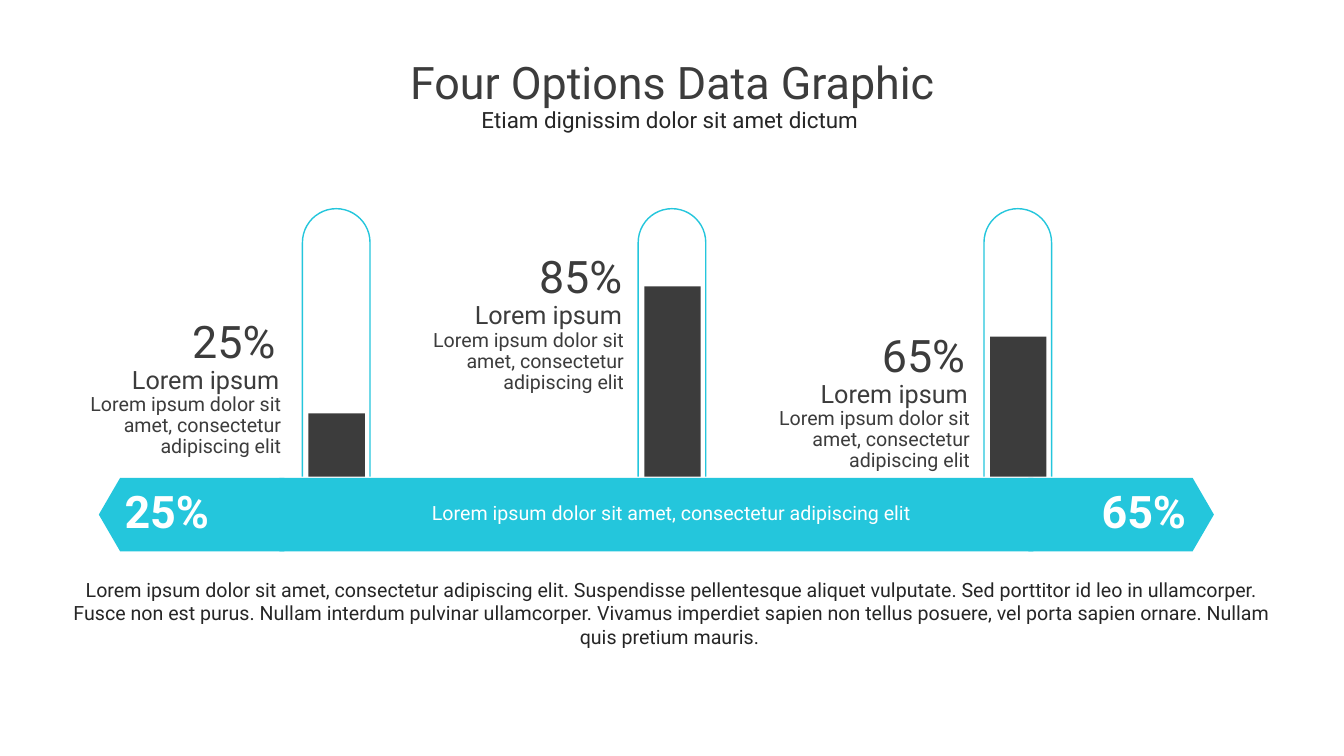
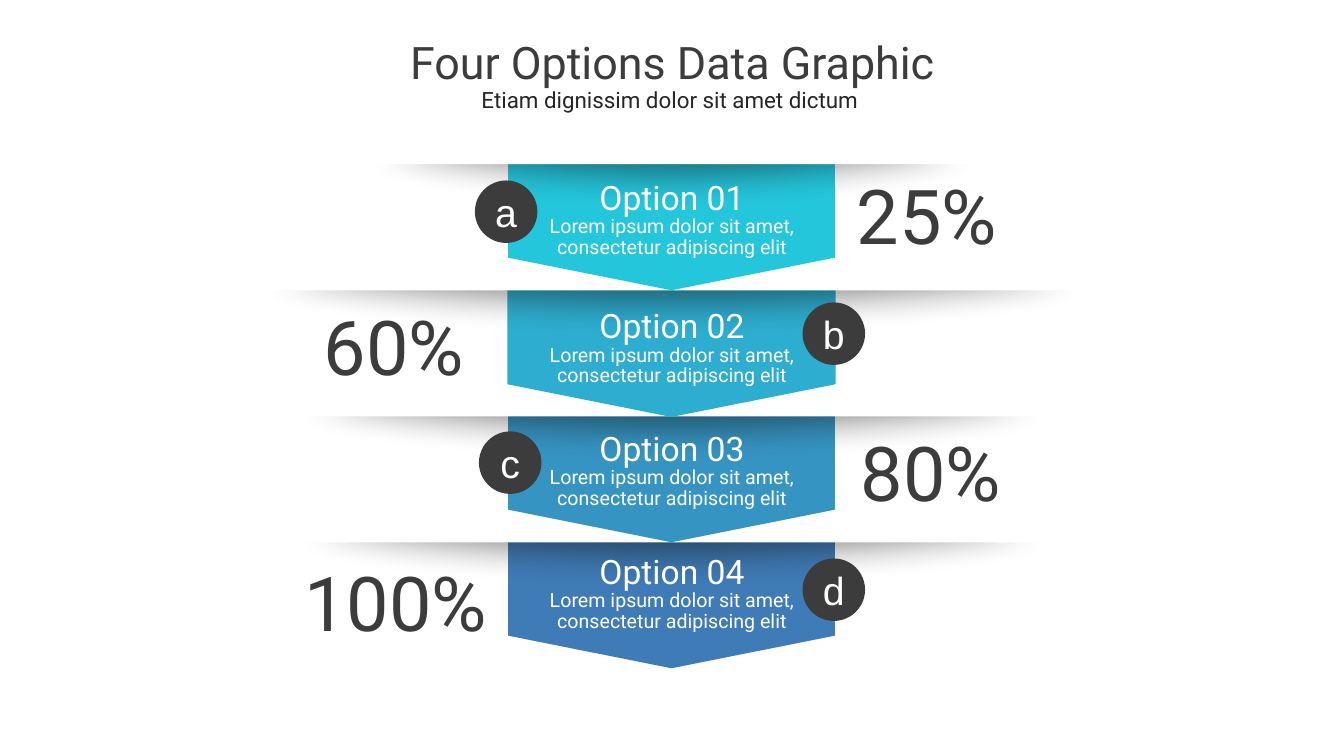
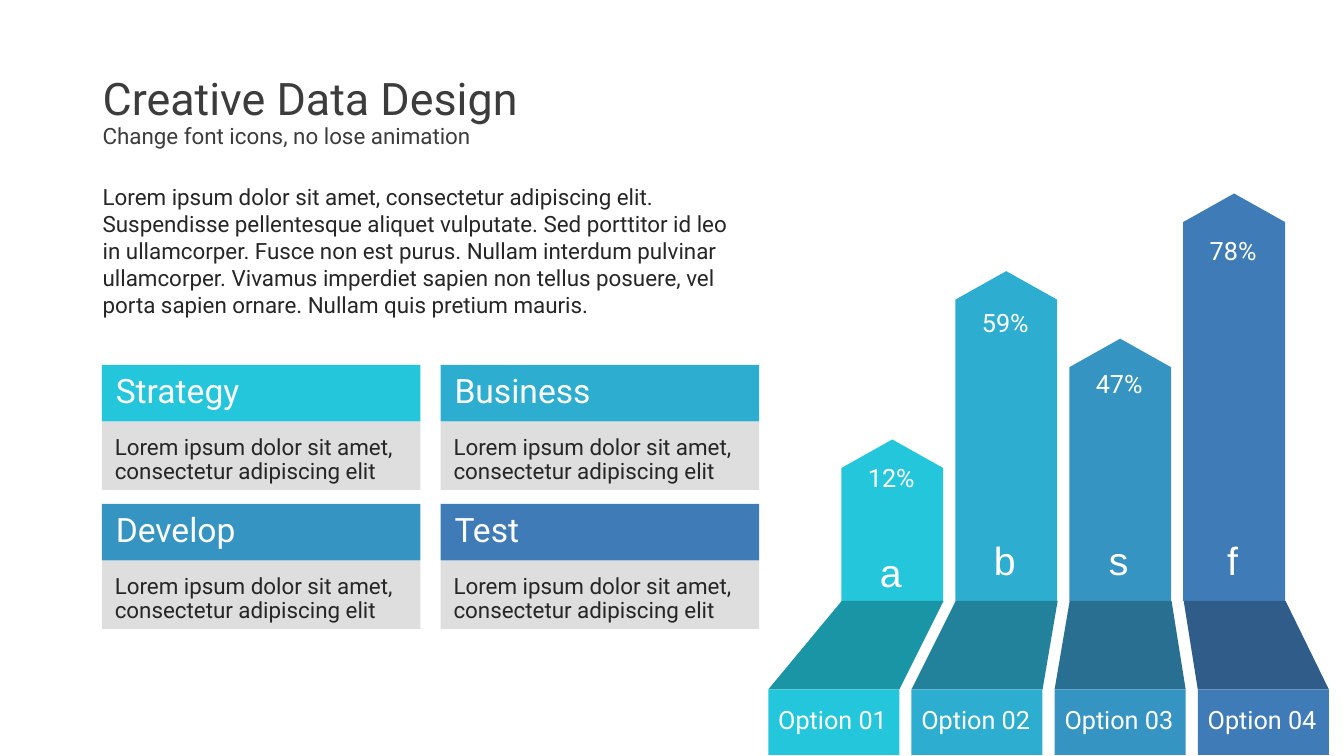
import dataclasses
import pptx
import pptx.dml.color
import pptx.enum.shapes
import pptx.enum.text
import pptx.oxml.ns
import pptx.util
from lxml import etree

Inches = pptx.util.Inches
KIND = pptx.enum.shapes.MSO_SHAPE
ALIGN = pptx.enum.text.PP_ALIGN
ANCHOR = pptx.enum.text.MSO_ANCHOR
qn = pptx.oxml.ns.qn

BRIEF = "Lorem ipsum dolor sit amet, consectetur adipiscing elit"
LONG = (
    BRIEF + ". Suspendisse pellentesque aliquet vulputate. Sed porttitor id leo "
    "in ullamcorper. Fusce non est purus. Nullam interdum pulvinar ullamcorper. "
    "Vivamus imperdiet sapien non tellus posuere, vel porta sapien ornare. "
    "Nullam quis pretium mauris."
)


@dataclasses.dataclass(frozen=True)
class Theme:
    # Colours
    hues: tuple = ("24C6DC", "2DADCF", "3694C2", "3F7BB6")
    darks: tuple = ("1A95A6", "22829B", "286F92", "2F5C88")
    gray: str = "3C3C3C"
    ink: str = "262626"
    white: str = "FFFFFF"
    pale: str = "FBFBFB"
    shade: str = "111111"
    black: str = "000000"
    # Fonts and type sizes
    font: str = "Roboto"
    icon: str = "Arial"
    small: int = 14
    text: int = 16
    label: int = 18
    head: int = 24
    sign: int = 28
    title: int = 32
    huge: int = 54
    # Line spacing and text insets
    tight: float = 0.89
    snug: float = 0.9
    inset: tuple = (0.1, 0.05, 0.1, 0.05)
    wide: tuple = (0.27, 0.05, 0.27, 0.07)


class Deck:
    def __init__(self, theme):
        self.theme = theme
        self.show = pptx.Presentation()
        self.show.slide_width = Inches(13.33)
        self.show.slide_height = Inches(7.5)
        self.slide = None

    def page(self):
        self.slide = self.show.slides.add_slide(self.show.slide_layouts[6])

    def color(self, code):
        return pptx.dml.color.RGBColor.from_string(code)

    def paint(self, shape, fill, line=None, alpha=None):
        shape.shadow.inherit = False
        if fill:
            shape.fill.solid()
            shape.fill.fore_color.rgb = self.color(fill)
        else:
            shape.fill.background()
        if line:
            shape.line.color.rgb = self.color(line)
            shape.line.width = pptx.util.Pt(1)
        else:
            shape.line.fill.background()
        if alpha:
            tint = shape.element.spPr.find(".//" + qn("a:srgbClr"))
            etree.SubElement(tint, qn("a:alpha"), val=str(alpha * 1000))
        return shape

    def shape(self, kind, x, y, w, h, fill=None, line=None, alpha=None, adj=None, rot=0):
        shape = self.slide.shapes.add_shape(kind, Inches(x), Inches(y), Inches(w), Inches(h))
        if adj is not None:
            shape.adjustments[0] = adj
        shape.rotation = rot
        return self.paint(shape, fill, line, alpha)

    def rect(self, x, y, w, h, fill, alpha=None):
        return self.shape(KIND.RECTANGLE, x, y, w, h, fill, alpha=alpha)

    def plate(self, mid, y, w, h, fill, adj, rot, line=None):
        """Upright pointed plate, centred on mid, with its top at y."""
        self.shape(KIND.PENTAGON, mid - h / 2, y + (h - w) / 2, h, w, fill, line, adj=adj, rot=rot)

    def glow(self, mid, y, w, h):
        """Soft oval shade."""
        oval = self.shape(KIND.OVAL, mid - w / 2, y, w, h, self.theme.shade, alpha=49)
        soft = oval.element.spPr.find(qn("a:effectLst"))
        etree.SubElement(soft, qn("a:softEdge"), rad=str(Inches(0.35)))

    def facet(self, points, fill):
        points = [(Inches(x), Inches(y)) for x, y in points]
        form = self.slide.shapes.build_freeform(*points[0])
        form.add_line_segments(points[1:], close=True)
        self.paint(form.convert_to_shape(), fill)

    def fill_in(self, frame, lines, align=ALIGN.LEFT, space=1.0, lead=0, font=None, bold=False):
        """Each line is (words, size, colour)."""
        for i, (words, size, color) in enumerate(lines):
            para = frame.add_paragraph() if i else frame.paragraphs[0]
            para.alignment = align
            para.line_spacing = space
            para.space_before = pptx.util.Pt(lead)
            run = para.add_run()
            run.text = words
            run.font.size = pptx.util.Pt(size)
            run.font.name = font or self.theme.font
            run.font.bold = bold
            run.font.color.rgb = self.color(color)

    def text(self, x, y, w, h, lines, inset=None, wrap=True, **style):
        box = self.slide.shapes.add_textbox(Inches(x), Inches(y), Inches(w), Inches(h))
        frame = box.text_frame
        frame.word_wrap = wrap
        frame.auto_size = pptx.enum.text.MSO_AUTO_SIZE.SHAPE_TO_FIT_TEXT
        sides = [Inches(side) for side in inset or self.theme.inset]
        frame.margin_left, frame.margin_top, frame.margin_right, frame.margin_bottom = sides
        self.fill_in(frame, lines, **style)

    def title(self, x, y, w, head, sub, tone, align=ALIGN.CENTER):
        t = self.theme
        lines = [(head, t.title, t.gray), (sub, t.text, tone)]
        self.text(x, y, w, 0.89, lines, align=align, space=t.snug)

    def figure(self, x, y, w, words, size, color, align=ALIGN.CENTER, bold=False):
        """Large percentage."""
        self.text(x, y, w, 0.74, [(words, size, color)], align=align,
                  space=self.theme.snug, lead=10, bold=bold)

    def badge(self, x, y, sign):
        t = self.theme
        disc = self.shape(KIND.OVAL, x, y, 0.62, 0.62, t.gray)
        disc.text_frame.vertical_anchor = ANCHOR.MIDDLE
        self.fill_in(disc.text_frame, [(sign, t.sign, t.white)], ALIGN.CENTER, font=t.icon)

    def card(self, x, y, head, hue):
        t = self.theme
        self.rect(x, y + 0.56, 3.16, 0.68, t.black, alpha=13)
        self.rect(x, y, 3.16, 0.56, hue)
        self.text(x + 0.03, y + 0.66, 3.15, 0.56, [(BRIEF, t.text, t.ink)], space=t.tight)
        self.text(x + 0.04, y + 0.05, 3, 0.46, [(head, t.head, t.pale)], space=t.tight)


def tubes(deck):
    t = deck.theme
    deck.page()
    # Tube left, bar top, text left, text top, figure left, figure
    parts = [
        (3, 4.1, 0.11, 3.87, 1.08, "25%"),
        (6.33, 2.84, 3.51, 3.23, 4.52, "85%"),
        (9.76, 3.34, 6.94, 4.01, 7.92, "65%"),
    ]
    for x, top, *_ in parts:
        deck.rect(x + 0.06, top, 0.56, 5.75 - top, t.gray)
        deck.shape(KIND.ROUNDED_RECTANGLE, x, 2.07, 0.67, 3.21, line=t.hues[0], adj=0.5)
    # Floor and ribbon
    deck.rect(0, 4.73, 13.33, 2.77, t.white)
    deck.rect(2.77, 4.74, 7.48, 0.73, t.hues[0])
    for x, turn, left, words in [(10.2, 0, 10.47, "65%"), (0.98, 180, 0.78, "25%")]:
        deck.shape(KIND.PENTAGON, x, 4.74, 1.84, 0.73, t.hues[0], adj=0.29, rot=turn)
        deck.figure(left, 4.81, 1.75, words, t.title, t.white, bold=True)
    deck.text(3.08, 4.95, 7.16, 0.33, [(BRIEF, t.small, t.white)], t.wide,
              align=ALIGN.CENTER, space=t.tight)
    deck.text(0.55, 5.68, 12.23, 0.81, [(LONG + " ", t.small, t.ink)], align=ALIGN.CENTER)
    # Captions beside the tubes
    for _, _, x, y, left, words in parts:
        deck.text(x, y, 2.95, 0.54, [(BRIEF, t.small, t.gray)], t.wide,
                  align=ALIGN.RIGHT, space=t.tight)
        deck.text(x, y - 0.27, 2.93, 0.39, [("Lorem ipsum", t.label, t.gray)], t.wide,
                  align=ALIGN.RIGHT, space=t.tight)
        deck.figure(left, y - 0.75, 1.75, words, t.title, t.gray, ALIGN.RIGHT)
    deck.title(3.77, 0.55, 5.8, "Four Options Data Graphic",
               "Etiam dignissim dolor sit amet dictum ", t.ink)


def flags(deck):
    t = deck.theme
    deck.page()
    mid, step = 6.66, 1.25
    # Flags from the lowest up, each tucked under a white sheet
    for i, wide in reversed(list(enumerate([7.5, 9.98, 9.08, 9.08]))):
        fold = 1.63 + step * i
        edge = t.hues[1] if i == 1 else None
        deck.plate(mid, fold - 0.45, 3.24, 1.7, t.hues[i], 0.19, 90, edge)
        deck.glow(mid, fold - 0.82, wide, 1.27)
        sheet = max(0, fold - 1.89)
        deck.rect(0, sheet, 13.33, fold - sheet, t.white)
    # Badge place and sign, figure place and width, words top
    parts = [
        (4.71, 1.79, "a", 8.24, 1.73, 1.91, "25%", 1.75),
        (7.96, 3, "b", 2.95, 3.03, 1.91, "60%", 3.02),
        (4.75, 4.28, "c", 8.28, 4.28, 1.91, "80%", 4.24),
        (7.96, 5.54, "d", 2.87, 5.57, 2.11, "100%", 5.46),
    ]
    for i, (x, y, sign, left, top, w, words, line) in enumerate(parts, 1):
        deck.badge(x, y, sign)
        deck.figure(left, top, w, words, t.huge, t.gray)
        lines = [(f"Option 0{i}", t.head, t.white), (BRIEF, t.small, t.white)]
        deck.text(5.21, line, 2.91, 0.89, lines, align=ALIGN.CENTER, space=t.tight)
    deck.title(3.77, 0.36, 5.8, "Four Options Data Graphic",
               "Etiam dignissim dolor sit amet dictum ", t.ink)


def towers(deck):
    t = deck.theme
    deck.page()
    base, fold, foot = 5.96, 6.84, 7.49
    # Tower height, figure and its top, sign and its top
    parts = [
        (1.6, "12%", 4.54, "a", 5.39),
        (3.27, "59%", 3, "b", 5.27),
        (2.6, "47%", 3.6, "s", 5.27),
        (4.04, "78%", 2.29, "f", 5.27),
    ]
    for i, (high, words, top, sign, low) in enumerate(parts):
        x, front = 8.35 + 1.13 * i, 7.62 + 1.42 * i
        deck.plate(x + 0.5, base - high, 1.01, high, t.hues[i], 0.28, 270)
        deck.facet([(x, base), (x + 1.01, base), (front + 1.3, fold), (front, fold)], t.darks[i])
        deck.rect(front, fold, 1.3, foot - fold, t.hues[i])
        deck.text(front, 6.94, 1.28, 0.4, [(f"Option 0{i + 1}", t.label, t.white)], wrap=False)
        deck.text(x + 0.19, low, 0.59, 0.57, [(sign, t.sign, t.white)], wrap=False,
                  align=ALIGN.CENTER, font=t.icon)
        deck.text(x + 0.16, top, 0.67, 0.4, [(words, t.label, t.white)], wrap=False)
    # Words and cards
    deck.title(0.92, 0.71, 5.33, "Creative Data Design",
               "Change font icons, no lose animation", t.gray, ALIGN.LEFT)
    deck.text(0.92, 1.77, 6.58, 1.45, [(LONG, t.text, t.ink)])
    for i, head in enumerate(["Strategy", "Business", "Develop", "Test"]):
        row, col = divmod(i, 2)
        deck.card(1.01 + 3.36 * col, 3.62 + 1.38 * row, head, t.hues[i])


def main():
    deck = Deck(Theme())
    tubes(deck)
    flags(deck)
    towers(deck)
    deck.show.save("out.pptx")


if __name__ == "__main__":
    main()
